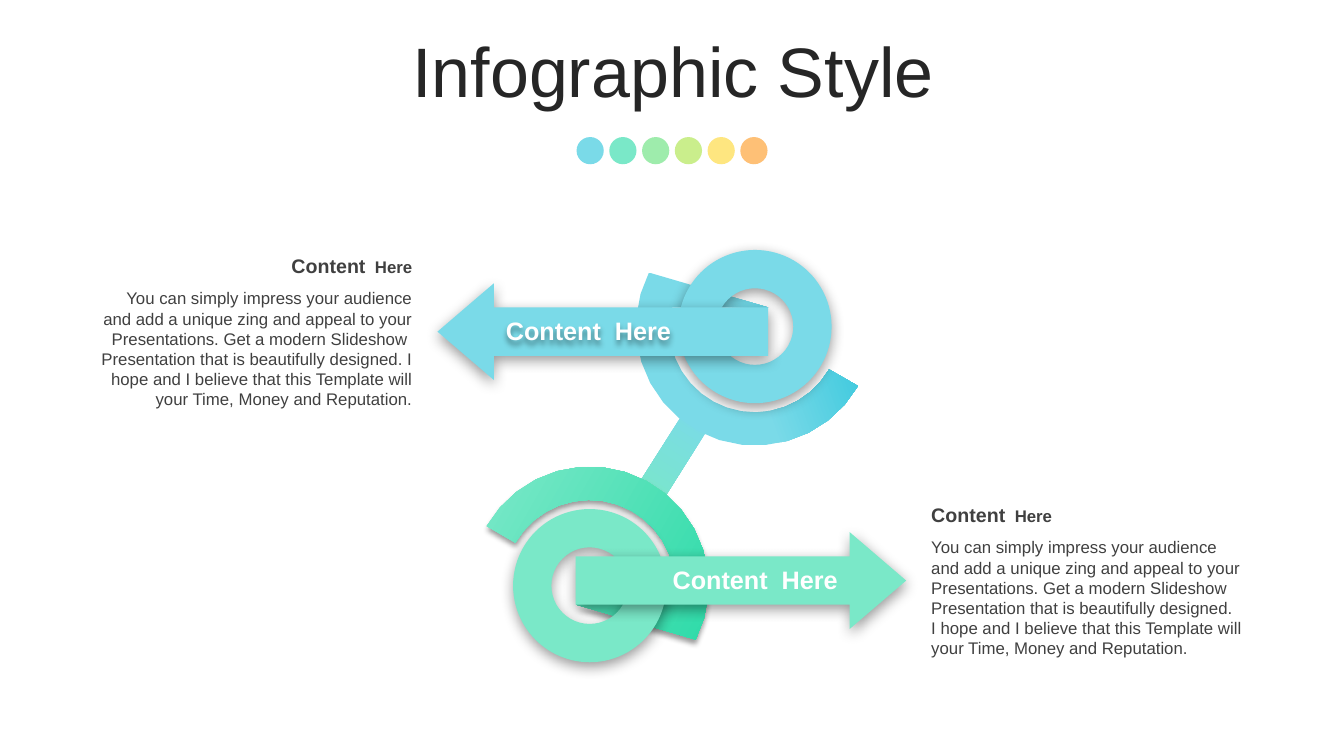
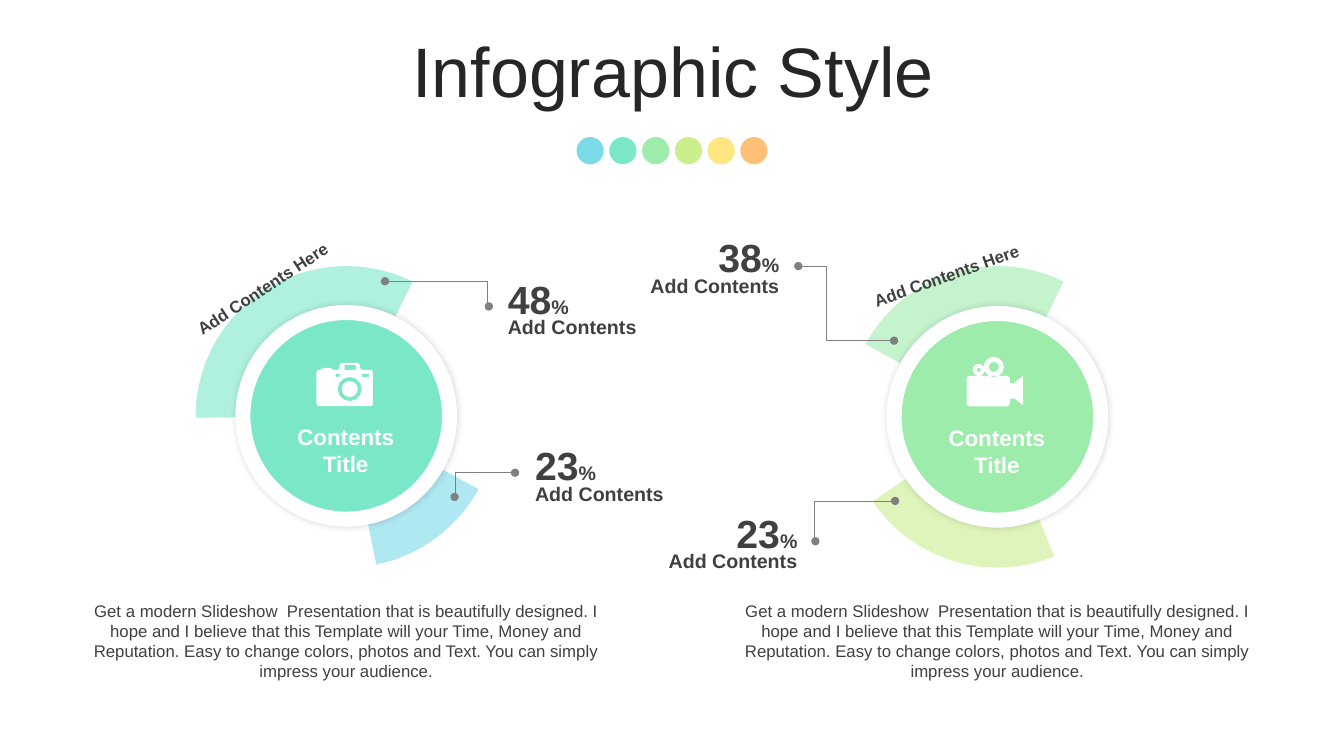
import dataclasses
import math
import typing

import lxml.etree
import pptx
import pptx.dml.color
import pptx.enum.shapes
import pptx.enum.text
import pptx.oxml.ns
import pptx.util

Inches = pptx.util.Inches
SHAPE = pptx.enum.shapes.MSO_SHAPE
ALIGN = pptx.enum.text.PP_ALIGN
ANCHOR = pptx.enum.text.MSO_ANCHOR
qn = pptx.oxml.ns.qn

Point = tuple[float, float]
Box = tuple[float, float, float, float]

FONT = "Arial"
SKY, MINT, GREEN, LIME = "7ADAE8", "7AE8C8", "9EECAC", "CAEE8C"
PALETTE = [SKY, MINT, GREEN, LIME, "FEE680", "FEC076"]
WHITE, INK, TITLE_INK, RULE = "FFFFFF", "404040", "262626", "808080"
PITCH = "Get a modern Slideshow  Presentation that is beautifully designed. "
PITCH += "I hope and I believe that this Template will your Time, Money and Reputation."
ARROW_TEXT = "You can simply impress your audience and add a unique zing and appeal to your Presentations. " + PITCH
GAUGE_TEXT = PITCH + " Easy to change colors, photos and Text. You can simply impress your audience."


@dataclasses.dataclass(frozen=True)
class Shadow:
    opacity: int
    blur: float
    distance: float


@dataclasses.dataclass(frozen=True)
class Branch:
    color: str
    center: Point
    turn: int
    stops: list[tuple[int, str]]
    gradient_angle: int
    crescent_shadow: Shadow | None
    label_shadow: Shadow | None
    arrow: Point
    arrow_label: Point
    heading: Box
    points_right: bool


@dataclasses.dataclass(frozen=True)
class Slice:
    color: str
    start: float
    end: float


@dataclasses.dataclass(frozen=True)
class Callout:
    value: str
    edge: float
    top: float
    align: ALIGN
    begin: Point
    end: Point
    bend: float


@dataclasses.dataclass(frozen=True)
class Gauge:
    color: str
    center: Point
    slices: list[Slice]
    tilted_label: Point
    tilt: float
    callouts: list[Callout]
    icon: list[list[Point]]


SOFT = Shadow(40, 10, 3)
TIGHT = Shadow(40, 4, 3)
GLOW = Shadow(14, 5, 0)


def rgb(color: str) -> pptx.dml.color.RGBColor:
    return pptx.dml.color.RGBColor.from_string(color)


def add_node(parent: typing.Any, tag: str, **attributes: typing.Any) -> typing.Any:
    return lxml.etree.SubElement(parent, qn(tag), {key: str(value) for key, value in attributes.items()})


def cast_shadow(shape: typing.Any, shadow: Shadow | None) -> None:
    shape.shadow.inherit = False
    if shadow:
        effects = shape._element.spPr.find(qn("a:effectLst"))
        outer = add_node(effects, "a:outerShdw", blurRad=pptx.util.Pt(shadow.blur),
                         dist=pptx.util.Pt(shadow.distance), dir=90 * 60000, algn="ctr", rotWithShape=0)
        shade = add_node(outer, "a:srgbClr", val="000000")
        add_node(shade, "a:alpha", val=shadow.opacity * 1000)


def finish(shape: typing.Any, shadow: Shadow | None = None) -> None:
    shape.line.fill.background()
    cast_shadow(shape, shadow)


def paint(shape: typing.Any, color: str, opacity: int = 100) -> None:
    shape.fill.solid()
    shape.fill.fore_color.rgb = rgb(color)
    if opacity < 100:
        add_node(shape._element.spPr.find(".//" + qn("a:srgbClr")), "a:alpha", val=opacity * 1000)


def paint_gradient(shape: typing.Any, stops: list[tuple[int, str]], angle: int) -> None:
    shape.fill.gradient()
    shape.fill.gradient_angle = (360 - angle) % 360
    stop_list = shape._element.spPr.find(".//" + qn("a:gsLst"))
    for preset in list(stop_list):
        stop_list.remove(preset)
    for position, color in stops:
        add_node(add_node(stop_list, "a:gs", pos=position * 1000), "a:srgbClr", val=color)


def add_preset(slide: typing.Any, kind: SHAPE, box: Box, color: str, *, opacity: int = 100,
               adjustments: tuple[float, ...] = (), rotation: float = 0, shadow: Shadow | None = None) -> typing.Any:
    shape = slide.shapes.add_shape(kind, *map(Inches, box))
    for index, value in enumerate(adjustments):
        shape.adjustments[index] = value
    shape.rotation = rotation
    paint(shape, color, opacity)
    finish(shape, shadow)
    return shape


def add_outline(slide: typing.Any, contours: list[list[Point]]) -> typing.Any:
    first, *others = [[(Inches(x), Inches(y)) for x, y in contour] for contour in contours]
    builder = slide.shapes.build_freeform(*first[0])
    builder.add_line_segments(first[1:], close=True)
    for contour in others:
        builder.move_to(*contour[0])
        builder.add_line_segments(contour[1:], close=True)
    return builder.convert_to_shape()


def add_text(slide: typing.Any, box: Box, text: str, *, size: float, color: str = INK, bold: bool = False,
             align: ALIGN = ALIGN.LEFT, anchor: ANCHOR = ANCHOR.TOP, rotation: float = 0,
             line_spacing: float | None = None, suffix: str = "", suffix_size: float = 12,
             shadow: Shadow | None = None) -> None:
    textbox = slide.shapes.add_textbox(*map(Inches, box))
    textbox.rotation = rotation
    cast_shadow(textbox, shadow)
    frame = textbox.text_frame
    frame.word_wrap = True
    frame.vertical_anchor = anchor
    paragraph = frame.paragraphs[0]
    paragraph.alignment = align
    paragraph.line_spacing = line_spacing
    for words, points in ((text, size), (suffix, suffix_size)):
        if words:
            run = paragraph.add_run()
            run.text = words
            run.font.name = FONT
            run.font.size = pptx.util.Pt(points)
            run.font.bold = bold
            run.font.color.rgb = rgb(color)


def arc(center: Point, radius: float, start: float, end: float, steps: int = 16) -> list[Point]:
    angles = [math.radians(start + (end - start) * step / steps) for step in range(steps + 1)]
    return [(center[0] + radius * math.cos(angle), center[1] + radius * math.sin(angle)) for angle in angles]


def circle(x: float, y: float, radius: float) -> list[Point]:
    return arc((x, y), radius, 0, 360, steps=12)[:-1]


def rectangle(left: float, top: float, width: float, height: float) -> list[Point]:
    return [(left, top), (left + width, top), (left + width, top + height), (left, top + height)]


def soften(corners: list[Point], radius: float = 0.02) -> list[Point]:
    points = []
    for index, corner in enumerate(corners):
        for neighbour in (corners[index - 1], corners[(index + 1) % len(corners)]):
            share = min(radius / math.dist(corner, neighbour), 0.4)
            points.append(tuple(c + (n - c) * share for c, n in zip(corner, neighbour)))
    return points


CAMERA = [
    soften([(3.14, 3.67), (3.19, 3.67), (3.19, 3.65), (3.29, 3.65), (3.29, 3.67), (3.37, 3.67),
            (3.37, 3.6), (3.57, 3.6), (3.57, 3.67), (3.7, 3.67), (3.7, 4.03), (3.14, 4.03)]),
    circle(3.47, 3.86, 0.12), circle(3.47, 3.86, 0.08),
    rectangle(3.33, 3.71, 0.04, 0.03), rectangle(3.59, 3.71, 0.07, 0.03), rectangle(3.42, 3.62, 0.11, 0.05),
]
MOVIE_CAMERA = [
    soften(rectangle(9.59, 3.73, 0.43, 0.3)),
    [(10.02, 3.8), (10.06, 3.8), (10.15, 3.73), (10.15, 4.02), (10.06, 3.95), (10.02, 3.96)],
    circle(9.86, 3.64, 0.1), circle(9.86, 3.64, 0.05), circle(9.71, 3.67, 0.06), circle(9.71, 3.67, 0.02),
]

BRANCHES = [
    Branch(MINT, (5.85, 5.81), 180, [(0, MINT), (100, "2FDBA9")], 30, TIGHT, None,
           (5.71, 5.28), (6.02, 5.55), (9.14, 4.94, 3.28, 0.34), True),
    Branch(SKY, (7.49, 3.24), 0, [(0, SKY), (50, SKY), (100, "2FC5DB")], 340, None, TIGHT,
           (4.34, 2.81), (4.92, 3.08), (0.86, 2.47, 3.33, 0.34), False),
]

GAUGES = [
    Gauge(MINT, (3.43, 4.13), [Slice(SKY, 28.7, 78.5), Slice(MINT, 179.7, 296.1)], (1.84, 2.67), 326.6,
          [Callout("48", 4.94, 2.68, ALIGN.LEFT, (3.82, 2.79), (4.85, 3.04), 0.99),
           Callout("23", 5.21, 4.33, ALIGN.LEFT, (4.51, 4.93), (5.11, 4.69), 0.02)], CAMERA),
    Gauge(GREEN, (9.89, 4.14), [Slice(LIME, 67.8, 145.9), Slice(GREEN, 208.9, 296.1)], (8.57, 2.57), 340.4,
          [Callout("38", 7.83, 2.27, ALIGN.RIGHT, (8.87, 3.38), (7.92, 2.64), 0.71),
           Callout("23", 8.01, 5, ALIGN.RIGHT, (8.88, 4.97), (8.09, 5.37), 1.01)], MOVIE_CAMERA),
]


def start_slide(deck: typing.Any) -> typing.Any:
    slide = deck.slides.add_slide(deck.slide_layouts[6])
    add_text(slide, (0.35, 0.37, 12.66, 0.79), "Infographic Style", size=50, color=TITLE_INK,
             align=ALIGN.CENTER, anchor=ANCHOR.MIDDLE, line_spacing=0.8)
    return slide


def move_palette_to_layout(slide: typing.Any) -> None:
    for index, color in enumerate(PALETTE):
        dot = add_preset(slide, SHAPE.OVAL, (5.72 + index * 0.325, 1.36, 0.27, 0.27), color)
        slide.slide_layout.shapes._spTree.append(dot._element)


def draw_branch(slide: typing.Any, branch: Branch) -> None:
    x, y = branch.center
    sign = -1 if branch.turn else 1
    notch = [(x + sign * 0.13, y - sign * 0.19), (x - sign * 0.82, y - sign * 0.19)]
    outer = arc(branch.center, 1.18, 30 + branch.turn, 207 + branch.turn)
    inner = arc(branch.center, 0.85, 188 + branch.turn, 30 + branch.turn)
    crescent = add_outline(slide, [outer + notch + inner])
    paint_gradient(crescent, branch.stops, branch.gradient_angle)
    finish(crescent, branch.crescent_shadow)
    add_preset(slide, SHAPE.DONUT, (x - 0.76, y - 0.76, 1.52, 1.52), branch.color, shadow=SOFT)
    add_preset(slide, SHAPE.RIGHT_ARROW, (*branch.arrow, 3.28, 0.96), branch.color, adjustments=(0.5, 0.583),
               rotation=0 if branch.points_right else 180, shadow=SOFT)
    label_align, text_align = (ALIGN.RIGHT, ALIGN.LEFT) if branch.points_right else (ALIGN.LEFT, ALIGN.RIGHT)
    add_text(slide, (*branch.arrow_label, 2.39, 0.4), "Content  Here", size=18, color=WHITE, bold=True,
             align=label_align, anchor=ANCHOR.MIDDLE, shadow=branch.label_shadow)
    left, top, width, height = branch.heading
    add_text(slide, branch.heading, "Content", size=14, bold=True, align=text_align, suffix="  Here")
    add_text(slide, (left, top + height, width, 1.31), ARROW_TEXT, size=12, align=text_align)


def draw_callout(slide: typing.Any, callout: Callout) -> None:
    kind = pptx.enum.shapes.MSO_CONNECTOR.ELBOW
    leader = slide.shapes.add_connector(kind, *map(Inches, callout.begin + callout.end))
    guides = leader._element.spPr.find(".//" + qn("a:avLst"))
    add_node(guides, "a:gd", name="adj1", fmla=f"val {round(callout.bend * 100000)}")
    leader.line.color.rgb = rgb(RULE)
    leader.line.width = pptx.util.Pt(0.5)
    outline = leader._element.spPr.find(qn("a:ln"))
    for tag in ("a:headEnd", "a:tailEnd"):
        add_node(outline, tag, type="oval")
    add_node(leader._element.spPr, "a:effectLst")
    width = 1.56
    left = callout.edge - (width if callout.align == ALIGN.RIGHT else 0)
    add_text(slide, (left, callout.top, width, 0.57), callout.value, size=28, bold=True,
             align=callout.align, suffix="%", suffix_size=14)
    add_text(slide, (left, callout.top + 0.4, width, 0.34), "Add Contents", size=14, bold=True, align=callout.align)


def draw_gauge(slide: typing.Any, gauge: Gauge) -> None:
    x, y = gauge.center
    for part in gauge.slices:
        add_preset(slide, SHAPE.PIE, (x - 1.49, 2.64, 2.99, 2.99), part.color, opacity=60,
                   adjustments=(part.start * 0.6, part.end * 0.6))
    disc = add_preset(slide, SHAPE.OVAL, (x - 1.02, y - 1.03, 2.05, 2.05), gauge.color, shadow=GLOW)
    disc.line.color.rgb = rgb(WHITE)
    disc.line.width = pptx.util.Pt(10.75)
    add_text(slide, (*gauge.tilted_label, 1.81, 0.81), "Add Contents Here", size=12, bold=True,
             align=ALIGN.CENTER, rotation=gauge.tilt)
    add_text(slide, (x - 0.77, y + 0.02, 1.54, 0.64), "Contents Title", size=16, color=WHITE, bold=True,
             align=ALIGN.CENTER)
    add_text(slide, (x - 2.68, 5.91, 5.37, 0.91), GAUGE_TEXT, size=12, align=ALIGN.CENTER)
    for callout in gauge.callouts:
        draw_callout(slide, callout)
    icon = add_outline(slide, gauge.icon)
    paint(icon, WHITE)
    finish(icon)


def main() -> None:
    deck = pptx.Presentation()
    deck.slide_width, deck.slide_height = Inches(40 / 3), Inches(7.5)
    arrows_slide = start_slide(deck)
    move_palette_to_layout(arrows_slide)
    link = add_preset(arrows_slide, SHAPE.FLOWCHART_PROCESS, (6.52, 4.12, 0.29, 0.86), SKY, rotation=32.3)
    paint_gradient(link, [(0, SKY), (100, MINT)], 90)
    for branch in BRANCHES:
        draw_branch(arrows_slide, branch)
    gauges_slide = start_slide(deck)
    for gauge in GAUGES:
        draw_gauge(gauges_slide, gauge)
    deck.save("out.pptx")


if __name__ == "__main__":
    main()
